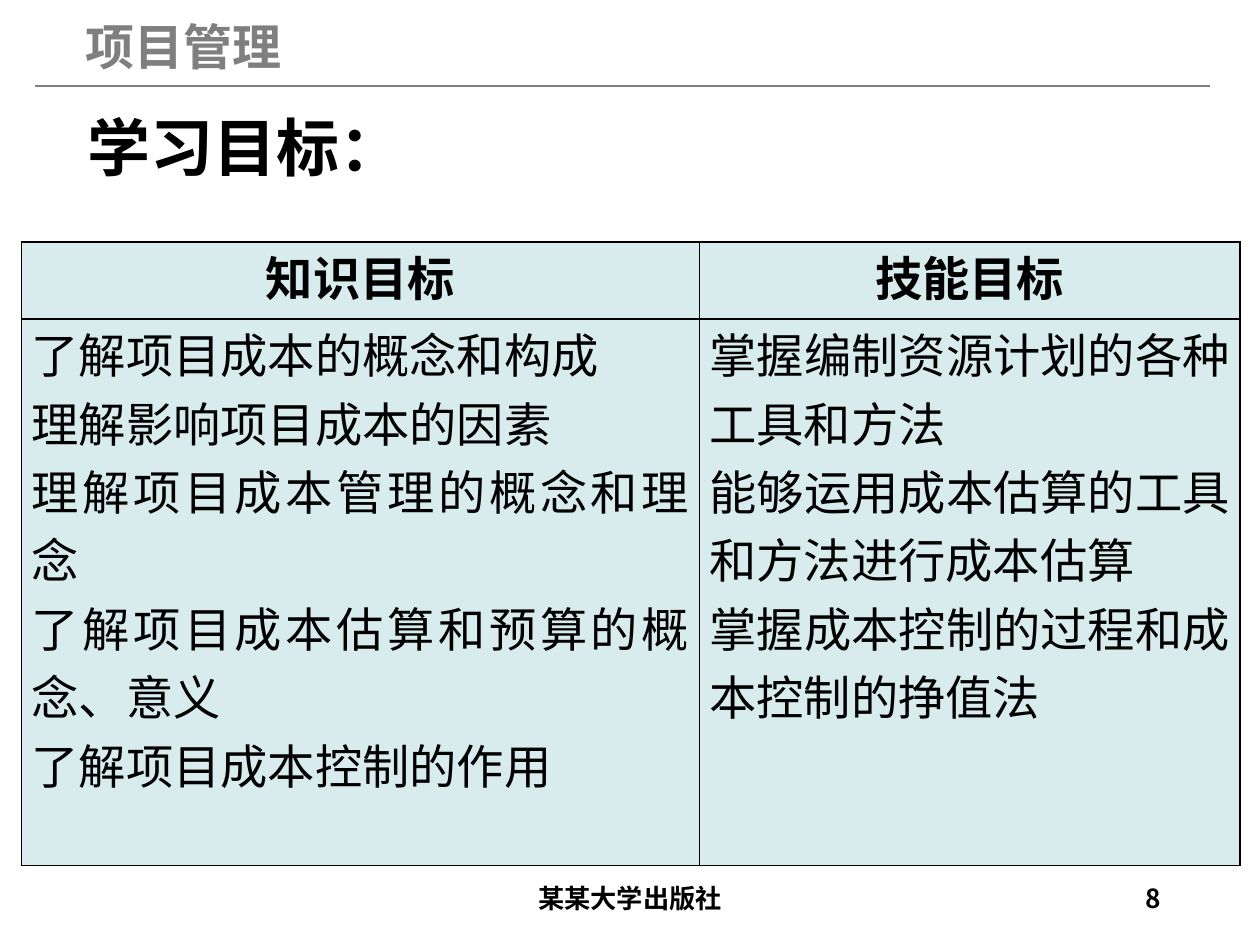
from dataclasses import dataclass

import lxml.etree
import pptx
import pptx.dml.color
import pptx.enum.shapes
import pptx.enum.text
import pptx.oxml.ns
import pptx.util

Inches = pptx.util.Inches
Pt = pptx.util.Pt
Align = pptx.enum.text.PP_ALIGN
Anchor = pptx.enum.text.MSO_ANCHOR
qn = pptx.oxml.ns.qn

BLACK = pptx.dml.color.RGBColor(0x00, 0x00, 0x00)
GRAY = pptx.dml.color.RGBColor(0x7F, 0x7F, 0x7F)
PALE_TEAL = pptx.dml.color.RGBColor(0xD8, 0xEC, 0xED)
FONT = "Noto Sans CJK SC"


@dataclass(frozen=True)
class Label:
    text: str
    left: float
    top: float
    width: float
    height: float
    size: int
    color: pptx.dml.color.RGBColor = BLACK
    align: Align = Align.LEFT
    anchor: Anchor = Anchor.TOP
    spacing: float = 1.0
    wrap: bool = True


@dataclass(frozen=True)
class GoalColumn:
    heading: str
    goals: tuple[str, ...]
    width: float


LABELS = (
    Label("项目管理", 0.58, 0.08, 1.77, 0.57, 28, color=GRAY, wrap=False),
    Label("学习目标：", 0.6, 0.75, 9.07, 0.77, 36, anchor=Anchor.BOTTOM, spacing=0.9),
    Label("某某大学出版社", 3.31, 6.95, 3.38, 0.4, 15, align=Align.CENTER,
          anchor=Anchor.MIDDLE, spacing=0.8),
    Label("8", 7.06, 6.95, 2.25, 0.4, 15, align=Align.RIGHT,
          anchor=Anchor.MIDDLE, spacing=0.8),
)

COLUMNS = (
    GoalColumn("知识目标", (
        "了解项目成本的概念和构成",
        "理解影响项目成本的因素",
        "理解项目成本管理的概念和理念",
        "了解项目成本估算和预算的概念、意义",
        "了解项目成本控制的作用",
    ), 5.38),
    GoalColumn("技能目标", (
        "掌握编制资源计划的各种工具和方法",
        "能够运用成本估算的工具和方法进行成本估算",
        "掌握成本控制的过程和成本控制的挣值法",
    ), 4.29),
)
TABLE_LEFT, TABLE_TOP = 0.17, 1.92
ROW_HEIGHTS = (0.61, 4.34)


def set_attributes(target: object, values: dict) -> None:
    for name, value in values.items():
        setattr(target, name, value)


def write_paragraph(paragraph, text: str, size: int, color, bold: bool,
                    align: Align, spacing: float = 1.0) -> None:
    set_attributes(paragraph, {"alignment": align, "line_spacing": spacing})
    run = paragraph.add_run()
    run.text = text
    set_attributes(run.font, {"name": FONT, "size": Pt(size), "bold": bold})
    run.font.color.rgb = color
    east_asian = lxml.etree.SubElement(run.font._element, qn("a:ea"))
    east_asian.set("typeface", FONT)


def add_label(slide, label: Label) -> None:
    shape = slide.shapes.add_textbox(
        Inches(label.left), Inches(label.top), Inches(label.width), Inches(label.height))
    set_attributes(shape.text_frame, {
        "word_wrap": label.wrap, "vertical_anchor": label.anchor})
    write_paragraph(shape.text_frame.paragraphs[0], label.text, label.size,
                    label.color, True, label.align, label.spacing)


def add_header_rule(slide) -> None:
    rule = slide.shapes.add_connector(
        pptx.enum.shapes.MSO_CONNECTOR.STRAIGHT,
        Inches(0.28), Inches(0.68), Inches(9.6), Inches(0.68))
    rule.line.color.rgb = GRAY
    rule.line.width = Pt(1)
    lxml.etree.SubElement(rule._element.spPr, qn("a:effectLst"))


def add_borders(cell) -> None:
    properties = cell._tc.get_or_add_tcPr()
    for index, side in enumerate(("a:lnL", "a:lnR", "a:lnT", "a:lnB")):
        border = lxml.etree.Element(qn(side), w=str(Pt(1)))
        fill = lxml.etree.SubElement(border, qn("a:solidFill"))
        lxml.etree.SubElement(fill, qn("a:srgbClr"), val=str(BLACK))
        properties.insert(index, border)


def fill_cell(cell, lines: tuple[str, ...], bold: bool, align: Align) -> None:
    set_attributes(cell, {
        "margin_left": Inches(0.08), "margin_right": Inches(0.08),
        "margin_top": Inches(0), "margin_bottom": Inches(0)})
    cell.fill.solid()
    cell.fill.fore_color.rgb = PALE_TEAL
    add_borders(cell)
    frame = cell.text_frame
    for index, line in enumerate(lines):
        paragraph = frame.add_paragraph() if index else frame.paragraphs[0]
        write_paragraph(paragraph, line, 27, BLACK, bold, align)


def add_goal_table(slide, columns: tuple[GoalColumn, ...]) -> None:
    table = slide.shapes.add_table(
        len(ROW_HEIGHTS), len(columns), Inches(TABLE_LEFT), Inches(TABLE_TOP),
        Inches(sum(column.width for column in columns)), Inches(sum(ROW_HEIGHTS))).table
    set_attributes(table, {"first_row": False, "horz_banding": False})
    for row, height in zip(table.rows, ROW_HEIGHTS):
        row.height = Inches(height)
    for index, column in enumerate(columns):
        table.columns[index].width = Inches(column.width)
        fill_cell(table.cell(0, index), (column.heading,), True, Align.CENTER)
        fill_cell(table.cell(1, index), column.goals, False, Align.JUSTIFY)


def main() -> None:
    presentation = pptx.Presentation()
    set_attributes(presentation, {
        "slide_width": Inches(10), "slide_height": Inches(7.5)})
    slide = presentation.slides.add_slide(presentation.slide_layouts[6])
    add_header_rule(slide)
    for label in LABELS:
        add_label(slide, label)
    add_goal_table(slide, COLUMNS)
    presentation.save("out.pptx")


if __name__ == "__main__":
    main()
